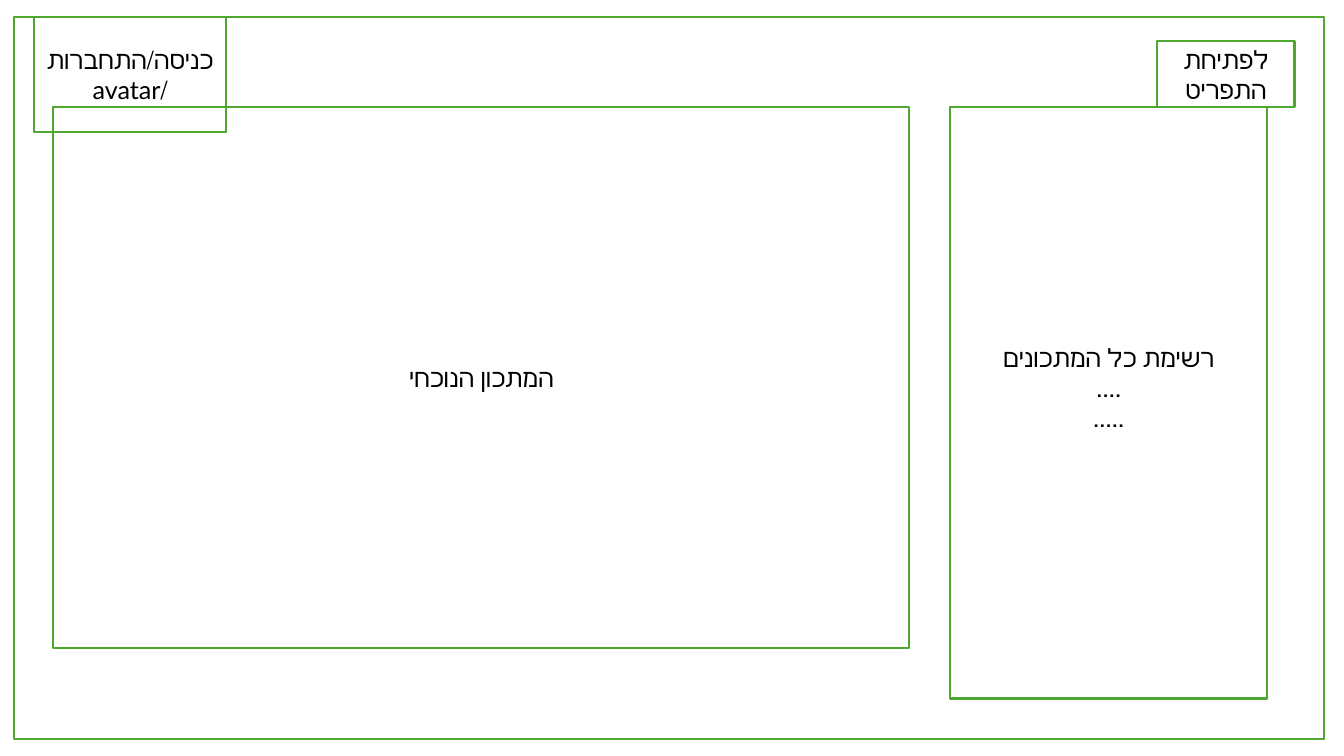
from dataclasses import dataclass

from pptx import Presentation
from pptx.dml.color import RGBColor
from pptx.enum.shapes import MSO_SHAPE
from pptx.enum.text import MSO_ANCHOR, PP_ALIGN
from pptx.slide import Slide
from pptx.util import Inches, Pt

RECT = MSO_SHAPE.RECTANGLE
MIDDLE = MSO_ANCHOR.MIDDLE
CENTER = PP_ALIGN.CENTER


@dataclass(frozen=True)
class Theme:
    line: RGBColor = RGBColor(0x4E, 0xA7, 0x2E)
    text: RGBColor = RGBColor(0, 0, 0)
    font: str = "Lato"
    size: float = 18
    width: float = 1.5


@dataclass(frozen=True)
class Box:
    left: float
    top: float
    width: float
    height: float
    lines: tuple[str, ...] = ()
    rtl: bool = False
    foot: float = 0.05  # bottom inset


THEME = Theme()
BODY = 1.06  # shared top of the two main panels

PAGE = Box(0.14, 0.17, 12.99, 7.16)
LOGIN = Box(0.34, 0.17, 1.9, 1.14, ("כניסה/התחברות/avatar",), rtl=True)
MENU = Box(11.48, 0.41, 1.36, 0.65, ("לפתיחת התפריט",))
LIST = Box(9.42, BODY, 3.15, 5.87,
           ("רשימת כל המתכונים", "....", "....."), rtl=True, foot=0.35)
RECIPE = Box(0.53, BODY, 8.49, 5.37, ("המתכון הנוכחי",))


def draw(slide: Slide, box: Box) -> None:
    # Outline
    shape = slide.shapes.add_shape(
        RECT, Inches(box.left), Inches(box.top),
        Inches(box.width), Inches(box.height))
    shape.shadow.inherit = False
    shape.fill.background()
    shape.line.color.rgb = THEME.line
    shape.line.width = Pt(THEME.width)

    # Label
    frame = shape.text_frame
    frame.word_wrap = True
    frame.vertical_anchor = MIDDLE
    frame.margin_bottom = Inches(box.foot)
    for i, line in enumerate(box.lines):
        para = frame.add_paragraph() if i else frame.paragraphs[0]
        para.alignment = CENTER
        if box.rtl:
            para._p.get_or_add_pPr().set("rtl", "1")
        run = para.add_run()
        run.text = line
        font = run.font
        font.name = THEME.font
        font.size = Pt(THEME.size)
        font.color.rgb = THEME.text


def main() -> None:
    deck = Presentation()
    deck.slide_width = Inches(13.33)
    deck.slide_height = Inches(7.5)
    slide = deck.slides.add_slide(deck.slide_layouts[6])
    for box in (PAGE, LOGIN, MENU, LIST, RECIPE):
        draw(slide, box)
    deck.save("out.pptx")


if __name__ == "__main__":
    main()
